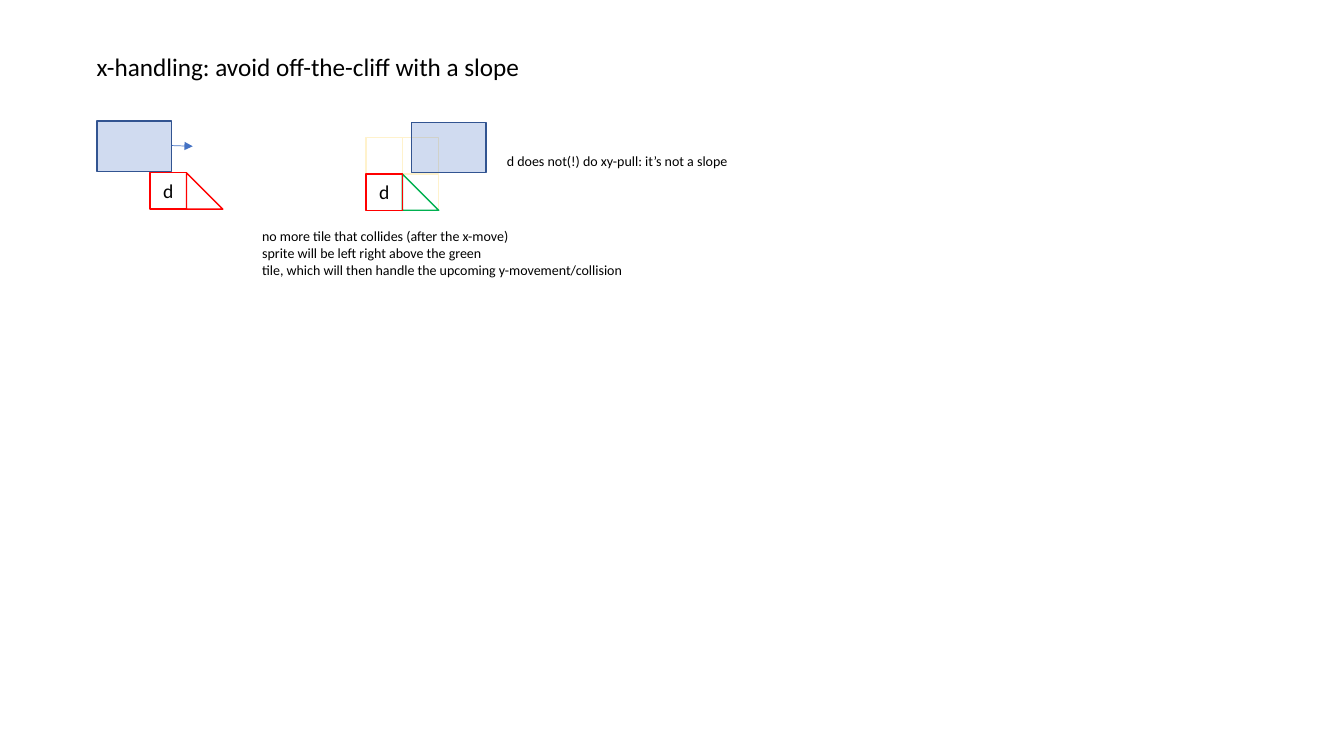
from dataclasses import dataclass
from itertools import product
from typing import Any, Optional

from lxml import etree
from pptx import Presentation
from pptx import util as u
from pptx.dml import color as col
from pptx.enum import shapes as sh, text as tx
from pptx.oxml import ns


@dataclass(frozen=True)
class Theme:
    font: str = "Calibri"
    ink: str = "000000"
    blue: str = "4472C4"
    navy: str = "325491"
    red: str = "FF0000"
    green: str = "00B050"
    cream: str = "FFF2CC"
    title: float = 18
    label: float = 14
    note: float = 10
    edge: float = 1
    thin: float = 0.5
    alpha: int = 25000


@dataclass(frozen=True)
class Box:
    left: float
    top: float
    wide: float
    high: float
    line: str
    kind: Any = sh.MSO_SHAPE.RECTANGLE
    fill: Optional[str] = None
    label: str = ""


@dataclass(frozen=True)
class Note:
    left: float
    top: float
    wide: float
    high: float
    size: float
    lines: tuple[str, ...]


LOOK = Theme()
TILE = 26


def rgb(code: str) -> col.RGBColor:
    return col.RGBColor.from_string(code)


def style(frame: Any, size: float) -> None:
    for para in frame.paragraphs:
        for run in para.runs:
            run.font.name = LOOK.font
            run.font.size = u.Pt(size)
            run.font.color.rgb = rgb(LOOK.ink)


def draw(host: Any, box: Box) -> None:
    item = host.add_shape(box.kind, u.Pt(box.left), u.Pt(box.top),
                          u.Pt(box.wide), u.Pt(box.high))
    item.shadow.inherit = False
    item.line.color.rgb = rgb(box.line)
    item.line.width = u.Pt(LOOK.edge)
    if box.kind == sh.MSO_SHAPE.ISOSCELES_TRIANGLE:
        item.adjustments[0] = 0
    if box.fill:
        item.fill.solid()
        item.fill.fore_color.rgb = rgb(box.fill)
        tint = item.fill._xPr.find(".//" + ns.qn("a:srgbClr"))
        etree.SubElement(tint, ns.qn("a:alpha"), val=str(LOOK.alpha))
    else:
        item.fill.background()
    if box.label:
        frame = item.text_frame
        frame.text = box.label
        frame.vertical_anchor = tx.MSO_ANCHOR.MIDDLE
        frame.paragraphs[0].alignment = tx.PP_ALIGN.CENTER
        style(frame, LOOK.label)


def write(host: Any, note: Note) -> None:
    item = host.add_textbox(u.Pt(note.left), u.Pt(note.top),
                            u.Pt(note.wide), u.Pt(note.high))
    frame = item.text_frame
    frame.text = "\n".join(note.lines)
    frame.word_wrap = False
    frame.auto_size = tx.MSO_AUTO_SIZE.SHAPE_TO_FIT_TEXT
    style(frame, note.size)


def arrow(host: Any, x1: float, y1: float, x2: float, y2: float) -> None:
    item = host.add_connector(sh.MSO_CONNECTOR.STRAIGHT, u.Pt(x1), u.Pt(y1),
                              u.Pt(x2), u.Pt(y2))
    item.line.color.rgb = rgb(LOOK.blue)
    item.line.width = u.Pt(LOOK.thin)
    etree.SubElement(item.line._get_or_add_ln(), ns.qn("a:tailEnd"), type="triangle")
    etree.SubElement(item._element.spPr, ns.qn("a:effectLst"))


def sprite(left: float, top: float) -> Box:
    return Box(left, top, 53.5, 36, LOOK.navy, fill=LOOK.blue)


def tile(left: float, top: float, line: str, label: str = "") -> Box:
    return Box(left, top, TILE, TILE, line, label=label)


def slope(left: float, top: float, line: str) -> Box:
    return Box(left, top, TILE, TILE, line, sh.MSO_SHAPE.ISOSCELES_TRIANGLE)


def main() -> None:
    deck = Presentation()
    deck.slide_width, deck.slide_height = u.Pt(960), u.Pt(540)
    page = deck.slides.add_slide(deck.slide_layouts[6]).shapes

    grid_x, grid_y = 261.4, 98.2
    for row, step in product(range(2), repeat=2):
        draw(page, tile(grid_x + step * TILE, grid_y + row * TILE, LOOK.cream))

    before = page.add_group_shape().shapes
    draw(before, sprite(69.2, 86.4))
    arrow(before, 122.7, 104, 137.7, 104.5)
    draw(before, slope(133.2, 123.4, LOOK.red))
    draw(page, tile(133.2 - TILE, 123.4, LOOK.red, "d"))

    after = page.add_group_shape().shapes
    draw(after, sprite(293.8, 87.4))
    draw(after, slope(grid_x + TILE, grid_y + TILE, LOOK.green))
    draw(page, tile(grid_x, grid_y + TILE, LOOK.red, "d"))

    notes = (
        Note(62, 33.4, 322, 29, LOOK.title,
             ("x-handling: avoid off-the-cliff with a slope",)),
        Note(180.2, 159.2, 278.6, 43.6, LOOK.note,
             ("no more tile that collides (after the x-move)",
              "sprite will be left right above the green",
              "tile, which will then handle the upcoming y-movement/collision")),
        Note(355, 105.4, 174, 19.4, LOOK.note,
             ("d does not(!) do xy-pull: it’s not a slope",)),
    )
    for note in notes:
        write(page, note)

    deck.save("out.pptx")


main()
